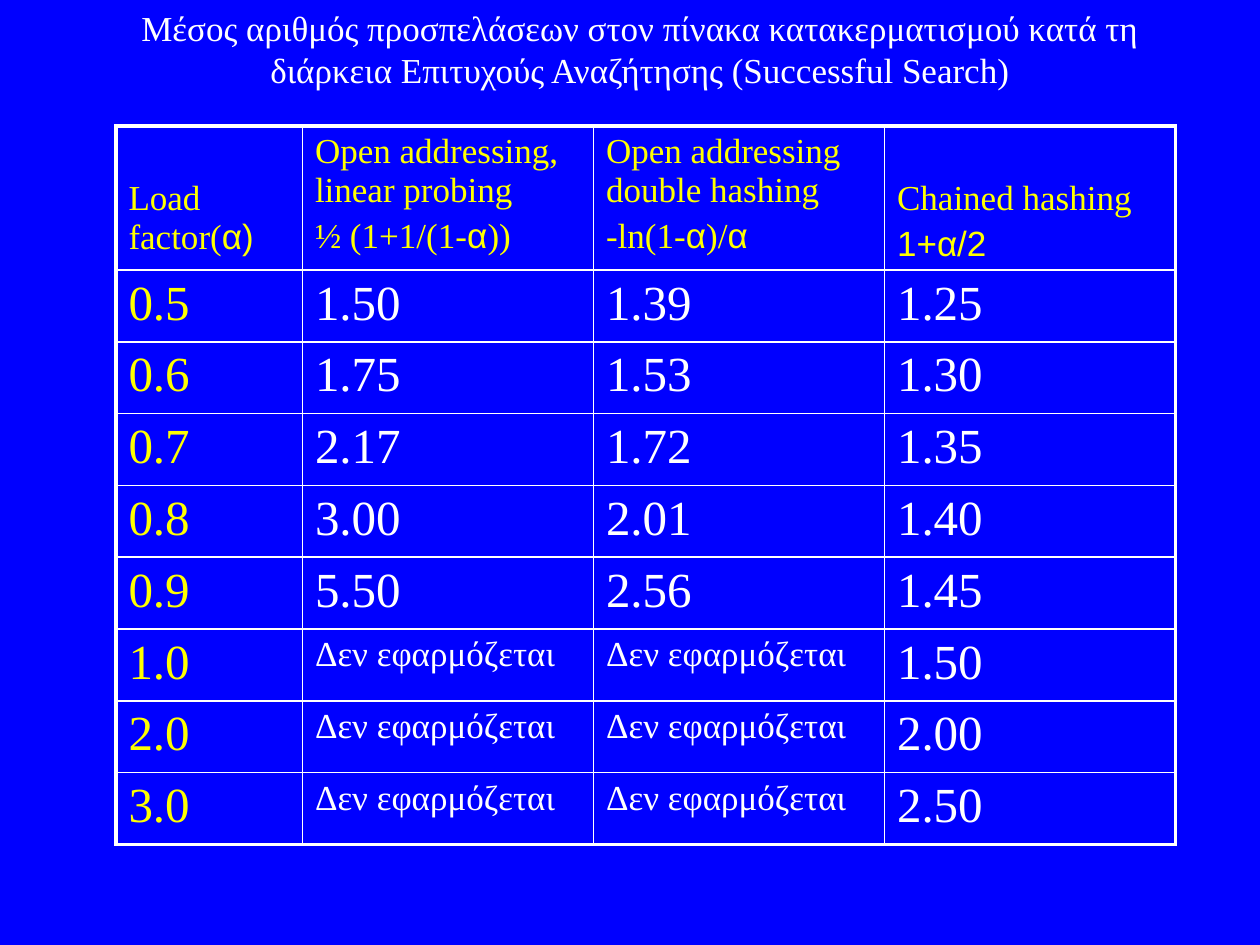
from lxml import etree
from pptx import Presentation
from pptx.dml.color import RGBColor
from pptx.enum.text import MSO_ANCHOR, PP_ALIGN
from pptx.oxml.ns import qn
from pptx.util import Inches, Pt

TOP, CENTER = MSO_ANCHOR.TOP, PP_ALIGN.CENTER
TITLE_ONLY_LAYOUT = 5

TITLE = ("Μέσος αριθμός προσπελάσεων στον πίνακα κατακερματισμού κατά τη "
         "διάρκεια Επιτυχούς Αναζήτησης (Successful Search)")
NOT_APPLICABLE = "Δεν εφαρμόζεται"
HEADERS = [
    [[("Load factor(", "serif"), ("α)", "sans")]],
    [[("Open addressing, linear probing", "serif")],
     [("½ (1+1/(1-", "serif"), ("α", "sans"), ("))", "serif")]],
    [[("Open addressing double hashing", "serif")],
     [("-ln(1-", "serif"), ("α", "sans"), (")/", "serif"), ("α", "sans")]],
    [[("Chained hashing", "serif")], [("1+α/2", "sans")]],
]
LOWERED_HEADERS = (0, 3)
ROWS = [
    ("0.5", "1.50", "1.39", "1.25"),
    ("0.6", "1.75", "1.53", "1.30"),
    ("0.7", "2.17", "1.72", "1.35"),
    ("0.8", "3.00", "2.01", "1.40"),
    ("0.9", "5.50", "2.56", "1.45"),
    ("1.0", NOT_APPLICABLE, NOT_APPLICABLE, "1.50"),
    ("2.0", NOT_APPLICABLE, NOT_APPLICABLE, "2.00"),
    ("3.0", NOT_APPLICABLE, NOT_APPLICABLE, "2.50"),
]

THEME = {
    "background": RGBColor(0, 0, 255),
    "text": RGBColor(255, 255, 255),
    "accent": RGBColor(255, 255, 0),
    "serif": "Times New Roman",
    "sans": "Arial",
    "small": Pt(20),
    "large": Pt(28),
    "inner_line": Pt(1),
    "outer_line": Pt(2.25),
}
SLIDE_SIZE = (10, 7.5)
TITLE_BOX = {"left": 0.86, "top": 0, "width": 8.44, "height": 0.77}
TABLE_LEFT, TABLE_TOP = 0.92, 1
COLUMN_WIDTHS = [1.48] + [2.31] * 3
ROW_HEIGHTS = [1.14] + [0.57] * len(ROWS)
LOWERED_MARGIN = 0.42
SPACE_SHARE = 0.2


def set_attributes(target, values):
    for name, value in values.items():
        setattr(target, name, value)


def add_run(paragraph, text, face, size, color):
    run = paragraph.add_run()
    run.text = text
    set_attributes(run.font, {"name": THEME[face], "size": THEME[size], "bold": False})
    run.font.color.rgb = THEME[color]


def fill_cell(cell, paragraphs, size, color):
    frame = cell.text_frame
    for index, runs in enumerate(paragraphs):
        paragraph = frame.add_paragraph() if index else frame.paragraphs[0]
        paragraph.space_before = int(THEME[size] * SPACE_SHARE)
        for text, face in runs:
            add_run(paragraph, text, face, size, color)


def add_borders(cell, outer_sides):
    properties = cell._tc.get_or_add_tcPr()
    for index, (side, is_outer) in enumerate(outer_sides.items()):
        width = THEME["outer_line" if is_outer else "inner_line"]
        line = etree.Element(qn(f"a:ln{side}"), w=str(width))
        fill = etree.SubElement(line, qn("a:solidFill"))
        etree.SubElement(fill, qn("a:srgbClr"), val=str(THEME["text"]))
        properties.insert(index, line)


def add_title(slide):
    title = slide.shapes.title
    set_attributes(title, {name: Inches(value) for name, value in TITLE_BOX.items()})
    set_attributes(title.text_frame, {"word_wrap": True, "vertical_anchor": TOP})
    paragraph = title.text_frame.paragraphs[0]
    paragraph.alignment = CENTER
    add_run(paragraph, TITLE, "serif", "small", "text")


def add_hash_table(slide):
    contents = [HEADERS] + [[[[(value, "serif")]] for value in row] for row in ROWS]
    last_row, last_column = len(ROW_HEIGHTS) - 1, len(COLUMN_WIDTHS) - 1
    table = slide.shapes.add_table(
        len(ROW_HEIGHTS), len(COLUMN_WIDTHS), Inches(TABLE_LEFT), Inches(TABLE_TOP),
        Inches(sum(COLUMN_WIDTHS)), Inches(sum(ROW_HEIGHTS))).table
    set_attributes(table, {"first_row": False, "horz_banding": False})
    for column, width in zip(table.columns, COLUMN_WIDTHS):
        column.width = Inches(width)
    for row, height in zip(table.rows, ROW_HEIGHTS):
        row.height = Inches(height)
    for row_index, row in enumerate(contents):
        for column_index, paragraphs in enumerate(row):
            cell = table.cell(row_index, column_index)
            cell.fill.background()
            is_header = row_index == 0
            is_small = is_header or paragraphs[0][0][0] == NOT_APPLICABLE
            is_accent = is_header or column_index == 0
            fill_cell(cell, paragraphs, "small" if is_small else "large",
                      "accent" if is_accent else "text")
            if is_header and column_index in LOWERED_HEADERS:
                cell.margin_top = Inches(LOWERED_MARGIN)
            add_borders(cell, {"L": column_index == 0, "R": column_index == last_column,
                               "T": is_header, "B": row_index == last_row})


def main():
    presentation = Presentation()
    presentation.slide_width, presentation.slide_height = map(Inches, SLIDE_SIZE)
    slide = presentation.slides.add_slide(presentation.slide_layouts[TITLE_ONLY_LAYOUT])
    slide.background.fill.solid()
    slide.background.fill.fore_color.rgb = THEME["background"]
    add_hash_table(slide)
    add_title(slide)
    presentation.save("out.pptx")


if __name__ == "__main__":
    main()
